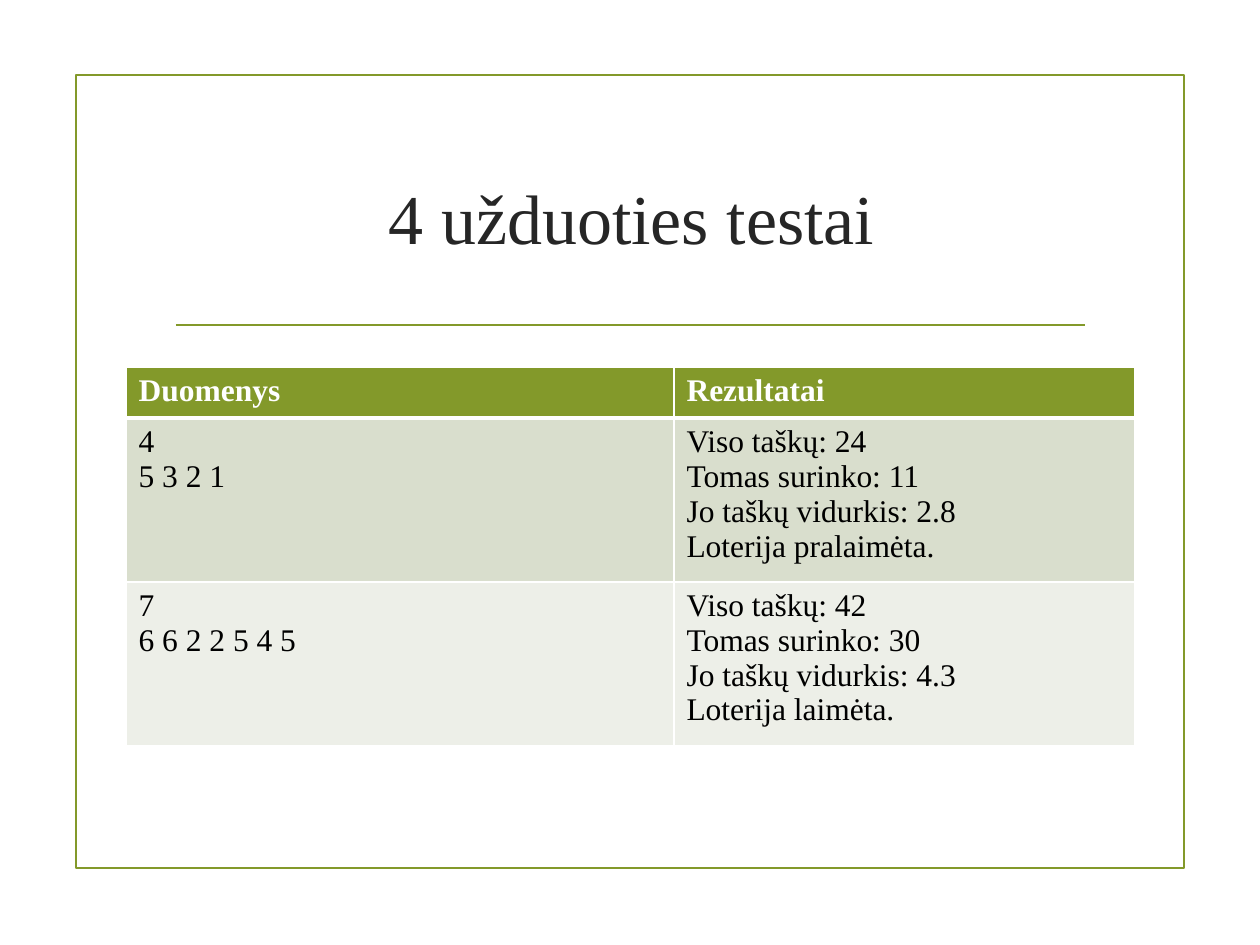
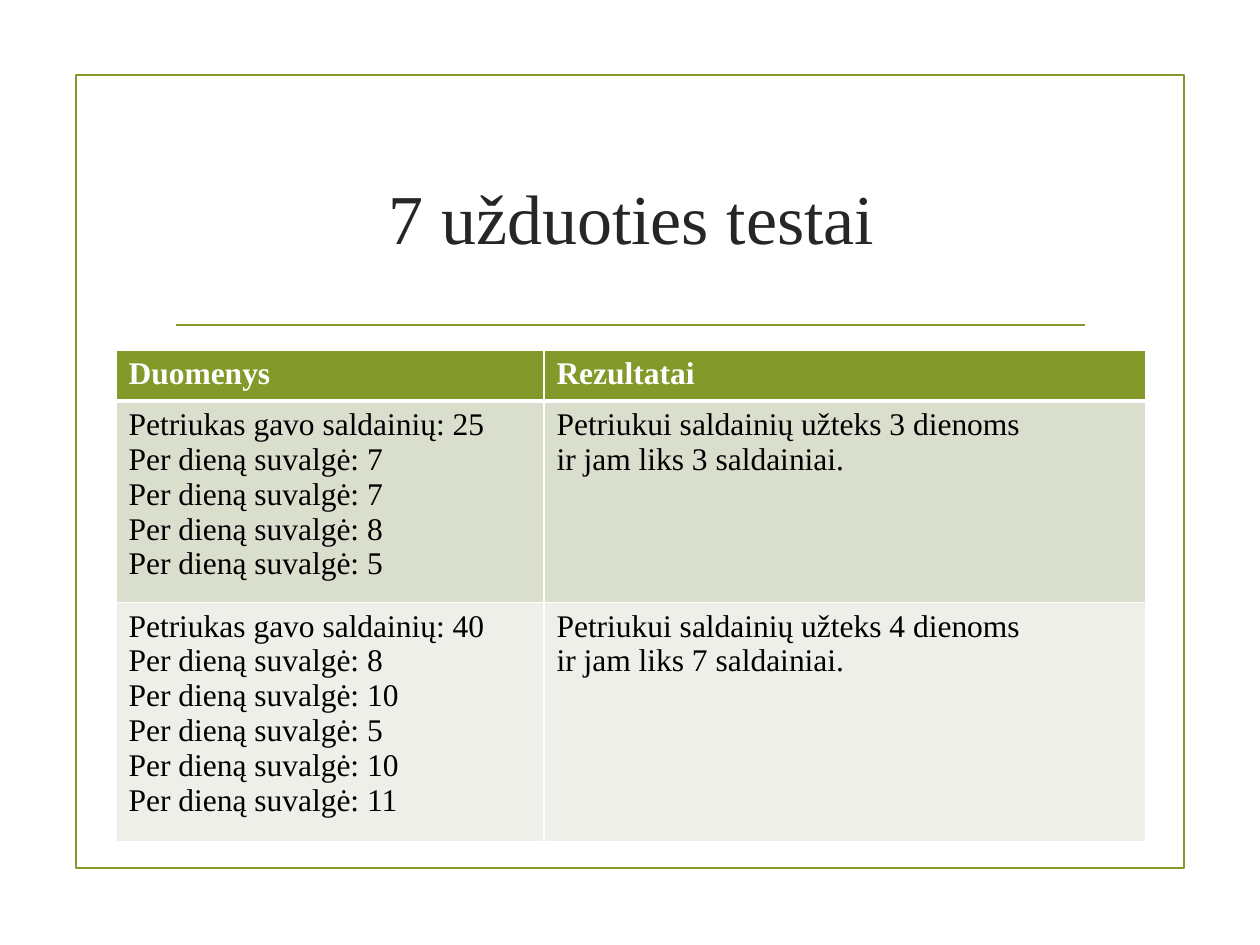
"""Build two slides of task tests, each a framed title above a table of data and results."""
from lxml.etree import SubElement
from pptx import Presentation
from pptx.dml.color import RGBColor
from pptx.enum.shapes import MSO_CONNECTOR, MSO_SHAPE
from pptx.enum.text import MSO_ANCHOR, PP_ALIGN
from pptx.oxml import parse_xml
from pptx.oxml.ns import nsdecls, qn
from pptx.util import Emu, Pt

GREEN, WHITE, BLACK, TITLE_GREY = "83992A", "FFFFFF", "000000", "262626"
ROW_FILLS = [GREEN, "D9DECD", "EDEFE8"]
FONT = "Times New Roman"
HEADER = ["Duomenys", "Rezultatai"]
HEADER_HEIGHT, LINE_HEIGHT, CELL_PADDING = 51, 35, 12

TESTS = [
    {
        "title": "4 užduoties testai",
        "corner": (126, 367),
        "widths": (548, 461),
        "rows": [
            ["4\n5 3 2 1",
             "Viso taškų: 24\nTomas surinko: 11\nJo taškų vidurkis: 2.8\nLoterija pralaimėta."],
            ["7\n6 6 2 2 5 4 5",
             "Viso taškų: 42\nTomas surinko: 30\nJo taškų vidurkis: 4.3\nLoterija laimėta."],
        ],
    },
    {
        "title": "7 užduoties testai",
        "corner": (116, 350),
        "widths": (428, 602),
        "rows": [
            ["\n".join(["Petriukas gavo saldainių: 25"]
                       + [f"Per dieną suvalgė: {eaten}" for eaten in (7, 7, 8, 5)]),
             "Petriukui saldainių užteks 3 dienoms\nir jam liks 3 saldainiai."],
            ["\n".join(["Petriukas gavo saldainių: 40"]
                       + [f"Per dieną suvalgė: {eaten}" for eaten in (8, 10, 5, 10, 11)]),
             "Petriukui saldainių užteks 4 dienoms\nir jam liks 7 saldainiai."],
        ],
    },
]


def px(*lengths):
    return [Emu(length * 914400 // 126) for length in lengths]


def color(target, value):
    target.rgb = RGBColor.from_string(value)


deck = Presentation()
deck.slide_width, deck.slide_height = px(1260, 945)

for test in TESTS:
    page = deck.slides.add_slide(deck.slide_layouts[6])
    page.background.fill.solid()
    color(page.background.fill.fore_color, WHITE)

    frame = page.shapes.add_shape(MSO_SHAPE.RECTANGLE, *px(76, 75, 1108, 793))
    frame.shadow.inherit = False
    frame.fill.background()
    rule = page.shapes.add_connector(MSO_CONNECTOR.STRAIGHT, *px(176, 325, 1085, 325))
    SubElement(rule._element.spPr, qn("a:effectLst"))
    for outlined in (frame, rule):
        color(outlined.line.color, GREEN)
        outlined.line.width = Pt(1.25)
    rule._element.spPr.append(rule._element.spPr.find(qn("a:effectLst")))

    box = page.shapes.add_textbox(*px(163, 126, 937, 180))
    box.text_frame.word_wrap = True
    box.text_frame.vertical_anchor = MSO_ANCHOR.MIDDLE
    box.text_frame.text = test["title"]
    para = box.text_frame.paragraphs[0]
    para.alignment = PP_ALIGN.CENTER
    para.font.name, para.font.size = FONT, Pt(40)
    color(para.font.color, TITLE_GREY)

    rows = [HEADER] + test["rows"]
    heights = [HEADER_HEIGHT] + [
        CELL_PADDING + LINE_HEIGHT * max(len(text.splitlines()) for text in row)
        for row in test["rows"]
    ]
    table = page.shapes.add_table(
        len(rows), len(HEADER), *px(*test["corner"], sum(test["widths"]), sum(heights))
    ).table
    for column, width in zip(table.columns, px(*test["widths"])):
        column.width = width
    for line, height in zip(table.rows, px(*heights)):
        line.height = height

    for r, row in enumerate(rows):
        for c, text in enumerate(row):
            cell = table.cell(r, c)
            cell.fill.solid()
            color(cell.fill.fore_color, ROW_FILLS[r])
            cell.text_frame.text = text
            for para in cell.text_frame.paragraphs:
                for span in para.runs:
                    span.font.name, span.font.size = FONT, Pt(18)
                    span.font.bold = r == 0
                    color(span.font.color, WHITE if r == 0 else BLACK)
            borders = {"L": 1, "R": 1, "T": 3 if r == 1 else 1, "B": 3 if r == 0 else 1}
            for index, (side, points) in enumerate(borders.items()):
                cell._tc.tcPr.insert(index, parse_xml(
                    f'<a:ln{side} {nsdecls("a")} w="{Pt(points)}"><a:solidFill>'
                    f'<a:srgbClr val="{WHITE}"/></a:solidFill></a:ln{side}>'
                ))

deck.save("out.pptx")
